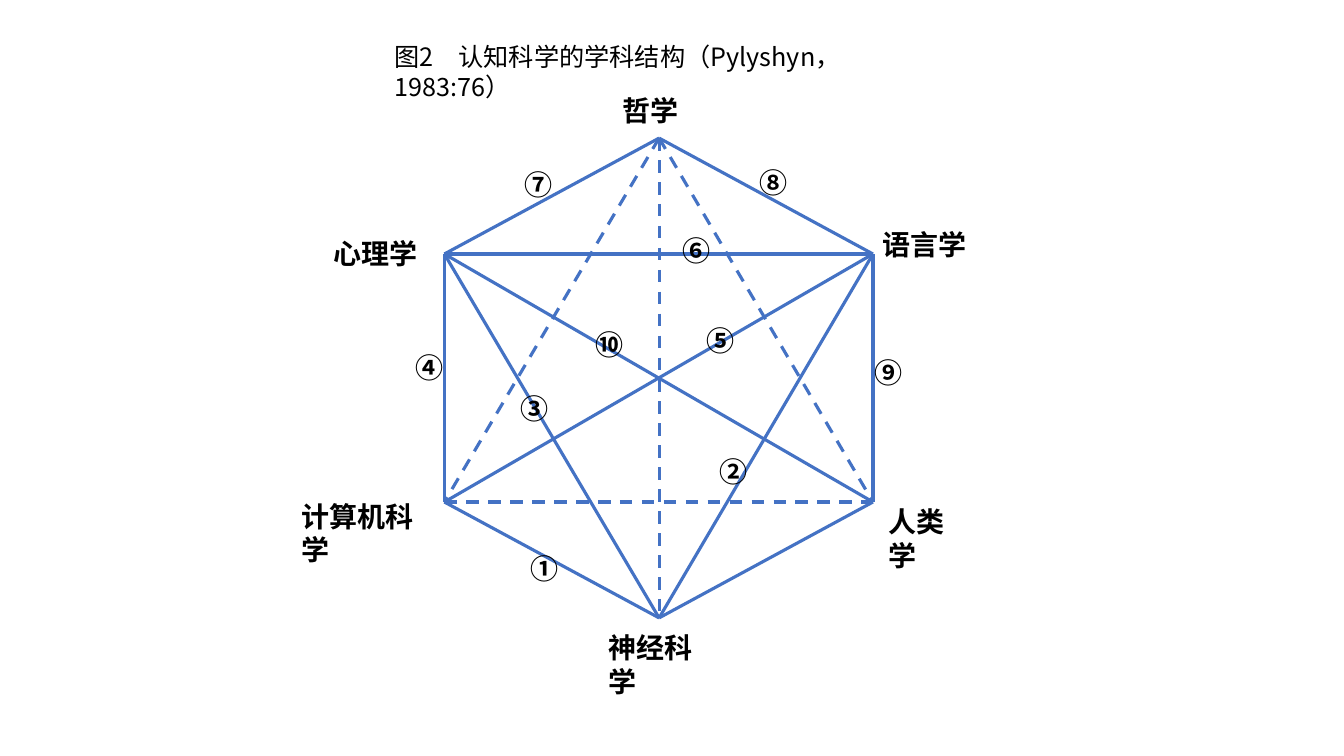
from lxml.etree import SubElement
from pptx import Presentation
from pptx.dml.color import RGBColor
from pptx.enum.dml import MSO_LINE_DASH_STYLE as Dash
from pptx.enum.shapes import MSO_CONNECTOR as Connector
from pptx.enum.text import MSO_ANCHOR as Anchor, MSO_AUTO_SIZE as AutoSize, PP_ALIGN as Align
from pptx.oxml.ns import qn
from pptx.util import Cm, Pt

COLORS = {"edge": "4472C4", "text": "000000"}
FONT = "Noto Sans CJK SC"
CAPTION = "图2　认知科学的学科结构（Pylyshyn，1983:76）"

# Corners of the hexagon (x, y) in cm
CORNERS = {
    "哲学": (16.61, 3.48),
    "语言学": (22, 6.4),
    "人类学": (22, 12.65),
    "神经科学": (16.61, 15.57),
    "计算机科学": (11.2, 12.65),
    "心理学": (11.2, 6.4),
}

# Links between disciplines that are not on the rim
SOLID_DIAGONALS = [
    ("心理学", "人类学"), ("语言学", "计算机科学"), ("神经科学", "心理学"),
    ("神经科学", "语言学"), ("心理学", "语言学"),
]
DASHED_LINKS = [
    ("哲学", "神经科学"), ("哲学", "计算机科学"), ("哲学", "人类学"),
    ("计算机科学", "人类学"),
]

# Label: left, top, width in cm, number of lines
LABELS = {
    "哲学": (15.44, 2.24, 1.95, 1),
    "语言学": (22, 5.61, 2.66, 1),
    "人类学": (22.15, 12.6, 2.54, 2),
    "神经科学": (15.09, 15.77, 3.2, 2),
    "计算机科学": (7.34, 12.45, 3.86, 2),
    "心理学": (8.15, 5.84, 2.67, 1),
    "①": (13.11, 13.77, 1.22, 1),
    "②": (17.88, 11.33, 0.91, 1),
    "③": (12.88, 9.73, 0.89, 1),
    "④": (10.21, 8.71, 1.04, 1),
    "⑤": (17.55, 8.03, 1.07, 1),
    "⑥": (16.94, 5.77, 1.02, 1),
    "⑦": (12.98, 4.09, 0.99, 1),
    "⑧": (18.9, 4.04, 1.09, 1),
    "⑨": (21.79, 8.84, 1.12, 1),
    "⑩": (14.76, 8.13, 0.94, 1),
}
LABEL_HEIGHTS = {1: 1.12, 2: 1.96}


def write_text(frame, text, size, bold):
    frame.text = text
    frame.word_wrap = True
    frame.auto_size = AutoSize.NONE
    frame.vertical_anchor = Anchor.TOP
    paragraph = frame.paragraphs[0]
    paragraph.alignment = Align.LEFT
    for run in paragraph.runs:
        run.font.size = Pt(size)
        run.font.bold = bold
        run.font.name = FONT
        run.font.color.rgb = RGBColor.from_string(COLORS["text"])
        SubElement(run.font._element, qn("a:ea"), typeface=FONT)


def set_caption(slide):
    caption = slide.shapes.title
    caption.left, caption.top = Cm(9.68), Cm(0.91)
    caption.width, caption.height = Cm(14), Cm(1.02)
    write_text(caption.text_frame, CAPTION, 18, False)


def add_link(slide, start, end, dashed=False):
    ends = [Cm(value) for value in CORNERS[start] + CORNERS[end]]
    link = slide.shapes.add_connector(Connector.STRAIGHT, *ends)
    link.line.color.rgb = RGBColor.from_string(COLORS["edge"])
    link.line.width = Pt(2.25)
    if dashed:
        link.line.dash_style = Dash.DASH
    SubElement(link._element.spPr, qn("a:effectLst"))


def add_label(slide, text, left, top, width, lines):
    height = LABEL_HEIGHTS[lines]
    label = slide.shapes.add_textbox(Cm(left), Cm(top), Cm(width), Cm(height))
    write_text(label.text_frame, text, 20, True)


def main():
    deck = Presentation()
    deck.slide_width, deck.slide_height = Cm(33.87), Cm(19.05)
    slide = deck.slides.add_slide(deck.slide_layouts[5])
    set_caption(slide)

    # Rim and diagonals
    disciplines = list(CORNERS)
    rim = list(zip(disciplines, disciplines[1:] + disciplines[:1]))
    for start, end in rim + SOLID_DIAGONALS:
        add_link(slide, start, end)
    for start, end in DASHED_LINKS:
        add_link(slide, start, end, dashed=True)

    # Disciplines and numbered fields
    for text, place in LABELS.items():
        add_label(slide, text, *place)

    deck.save("out.pptx")


if __name__ == "__main__":
    main()
